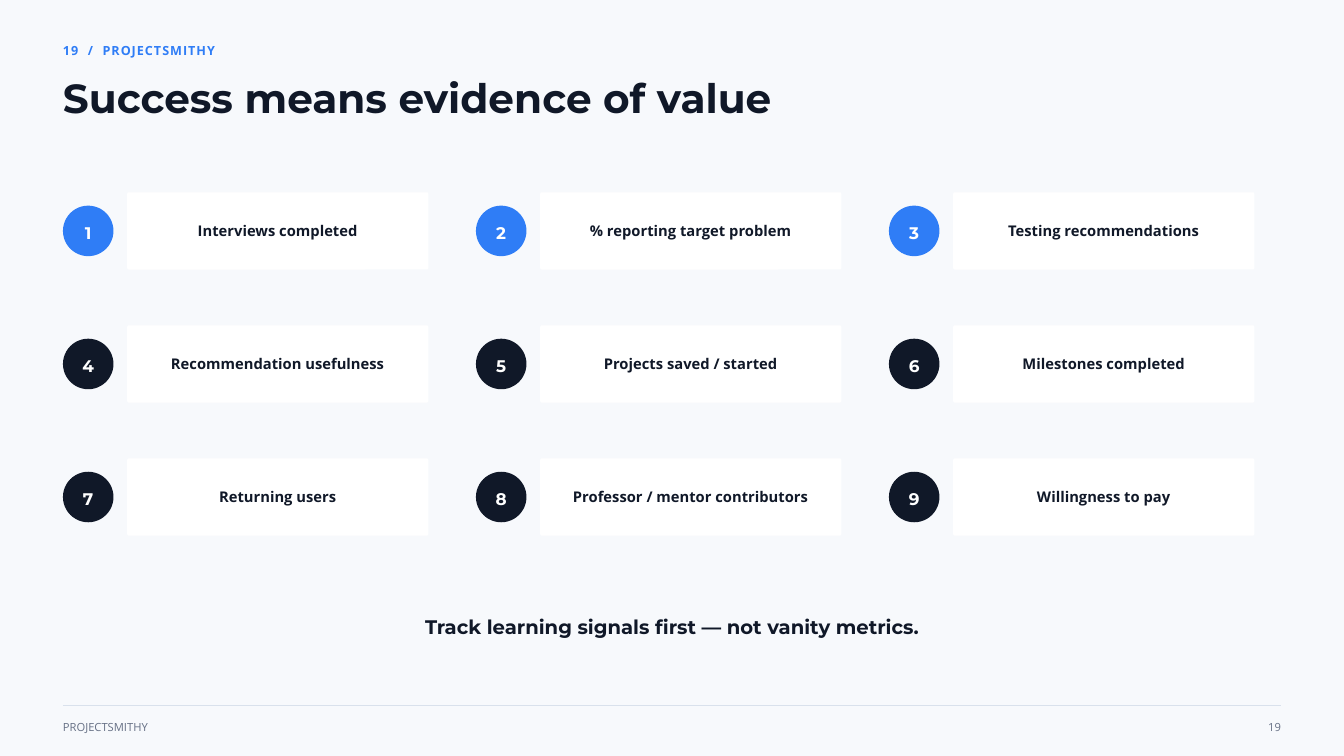
from dataclasses import dataclass

from lxml.etree import SubElement
from pptx import Presentation
from pptx.dml.color import RGBColor
from pptx.enum.shapes import MSO_CONNECTOR as Connector, MSO_SHAPE as Shape
from pptx.enum.text import MSO_ANCHOR as Anchor, MSO_AUTO_SIZE as AutoSize, PP_ALIGN as Align
from pptx.oxml.ns import qn
from pptx.util import Cm, Pt


@dataclass(frozen=True)
class Style:
    size: float
    leading: float
    font: str
    color: str
    bold: bool = True
    tracking: float = 0


@dataclass(frozen=True)
class Theme:
    paper: str = "F7F9FC"
    card: str = "FFFFFF"
    accent: str = "2F7DF6"
    ink: str = "101828"
    rule: str = "D9E1EC"
    kicker: Style = Style(13.5, 18.9, "Open Sans", "2F7DF6", tracking=1.1)
    title: Style = Style(43.5, 45.7, "Montserrat", "101828")
    number: Style = Style(18, 25.2, "Montserrat", "FFFFFF")
    metric: Style = Style(15.8, 17.3, "Open Sans", "101828")
    takeaway: Style = Style(21, 22.1, "Montserrat", "101828")
    footer: Style = Style(12, 15.6, "Open Sans", "667085", bold=False)


THEME = Theme()
BRAND = "PROJECTSMITHY"
PAGE = "19"
METRICS = [
    "Interviews completed", "% reporting target problem", "Testing recommendations",
    "Recommendation usefulness", "Projects saved / started", "Milestones completed",
    "Returning users", "Professor / mentor contributors", "Willingness to pay",
]
COLUMNS = 3


def write(shape, text, style, align=Align.LEFT, anchor=Anchor.TOP):
    frame = shape.text_frame
    frame.word_wrap = True
    frame.auto_size = AutoSize.NONE
    frame.vertical_anchor = anchor
    frame.margin_left = frame.margin_right = frame.margin_top = frame.margin_bottom = 0
    paragraph = frame.paragraphs[0]
    paragraph.alignment = align
    paragraph.line_spacing = Pt(style.leading)
    paragraph.space_before = Pt(0)
    run = paragraph.add_run()
    run.text = text
    run.font.name = style.font
    run.font.size = Pt(style.size)
    run.font.bold = style.bold
    run.font.color.rgb = RGBColor.from_string(style.color)
    if style.tracking:
        run.font._element.set("spc", str(round(style.tracking * 100)))


def add_label(slide, box, text, style, align=Align.LEFT):
    label = slide.shapes.add_textbox(*map(Cm, box))
    write(label, text, style, align)


def add_filled(slide, kind, box, color, text, style):
    shape = slide.shapes.add_shape(kind, *map(Cm, box))
    shape.shadow.inherit = False
    shape.fill.solid()
    shape.fill.fore_color.rgb = RGBColor.from_string(color)
    shape.line.fill.background()
    write(shape, text, style, Align.CENTER, Anchor.MIDDLE)
    return shape


def add_header(slide, left, top, width):
    add_label(slide, (left, top, 17.2, 0.64), f"{PAGE}  /  {BRAND}", THEME.kicker)
    title = slide.shapes.title
    title.left, title.top = Cm(left), Cm(top + 1.47)
    title.width, title.height = Cm(width), Cm(1.68)
    write(title, "Success means evidence of value", THEME.title)


def add_metric(slide, left, top, number, metric, color):
    height, diameter, card_offset = 2.92, 1.91, 2.43
    badge_top = top + (height - diameter) / 2
    add_filled(slide, Shape.OVAL, (left, badge_top, diameter, diameter),
               color, str(number), THEME.number)
    card = add_filled(slide, Shape.ROUNDED_RECTANGLE, (left + card_offset, top, 11.38, height),
                      THEME.card, metric, THEME.metric)
    card.adjustments[0] = 0.02


def add_metric_grid(slide, left, top, column_pitch, row_pitch):
    for index, metric in enumerate(METRICS):
        row, column = divmod(index, COLUMNS)
        add_metric(slide, left + column * column_pitch, top + row * row_pitch,
                   index + 1, metric, THEME.ink if row else THEME.accent)


def add_footer(slide, left, top, width):
    rule = slide.shapes.add_connector(
        Connector.STRAIGHT, Cm(left), Cm(top), Cm(left + width), Cm(top))
    rule.line.color.rgb = RGBColor.from_string(THEME.rule)
    rule.line.width = Pt(0.75)
    SubElement(rule._element.spPr, qn("a:effectLst"))
    text_top, page_width = top + 0.51, 1.85
    add_label(slide, (left, text_top, 7.92, 0.51), BRAND, THEME.footer)
    add_label(slide, (left + width - page_width, text_top, page_width, 0.51),
              PAGE, THEME.footer, Align.RIGHT)


def main():
    deck = Presentation()
    deck.slide_width, deck.slide_height = Cm(50.8), Cm(28.58)
    slide = deck.slides.add_slide(deck.slide_layouts[5])  # title only
    slide.background.fill.solid()
    slide.background.fill.fore_color.rgb = RGBColor.from_string(THEME.paper)

    margin = 2.38
    content_width = 50.8 - 2 * margin
    add_header(slide, margin, 1.53, 39.68)
    add_metric_grid(slide, margin, 7.27, column_pitch=15.61, row_pitch=5.03)
    # Takeaway
    add_label(slide, (14.55, 23.37, 21.7, 0.79),
              "Track learning signals first — not vanity metrics.", THEME.takeaway, Align.CENTER)
    add_footer(slide, margin, 26.67, content_width)

    deck.save("out.pptx")


if __name__ == "__main__":
    main()
